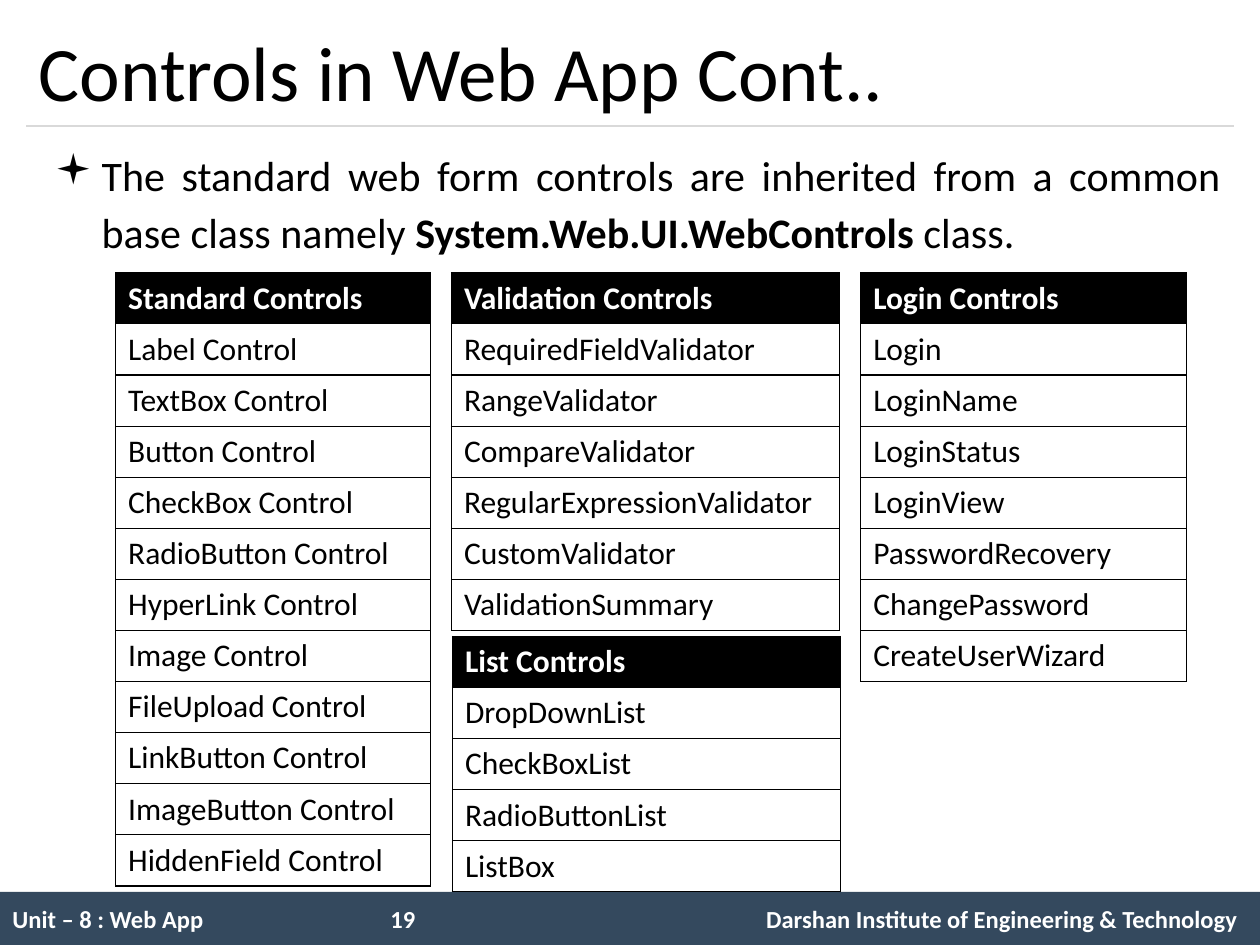
from lxml import etree
from pptx import Presentation
from pptx.dml.color import RGBColor
from pptx.enum.shapes import MSO_CONNECTOR, MSO_SHAPE
from pptx.enum.text import MSO_ANCHOR, PP_ALIGN
from pptx.oxml.ns import qn
from pptx.util import Cm, Pt

BLACK = RGBColor(0x00, 0x00, 0x00)
WHITE = RGBColor(0xFF, 0xFF, 0xFF)
RULE_GRAY = RGBColor(0xD9, 0xD9, 0xD9)
FOOTER_BLUE = RGBColor(0x34, 0x49, 0x5E)

FONT = "Calibri"
ROW_HEIGHT = 1.03
TABLE_TOP = 5.5

STANDARD = [f"{name} Control" for name in (
    "Label", "TextBox", "Button", "CheckBox", "RadioButton", "HyperLink",
    "Image", "FileUpload", "LinkButton", "ImageButton", "HiddenField")]
VALIDATION = ["RequiredFieldValidator", "RangeValidator", "CompareValidator",
              "RegularExpressionValidator", "CustomValidator", "ValidationSummary"]
LOGIN = ["Login", "LoginName", "LoginStatus", "LoginView",
         "PasswordRecovery", "ChangePassword", "CreateUserWizard"]
LISTS = ["DropDownList", "CheckBoxList", "RadioButtonList", "ListBox"]

# heading, items, left, top, width
CONTROL_TABLES = [
    ("Standard Controls", STANDARD, 2.33, TABLE_TOP, 6.35),
    ("Validation Controls", VALIDATION, 9.1, TABLE_TOP, 7.82),
    ("Login Controls", LOGIN, 17.35, TABLE_TOP, 6.56),
    ("List Controls", LISTS, 9.12, 12.83, 7.82),
]


def add_run(paragraph, text, size=18, color=BLACK, bold=False):
    run = paragraph.add_run()
    run.text = text
    run.font.name = FONT
    run.font.size = Pt(size)
    run.font.bold = bold
    run.font.color.rgb = color


def set_tabs(paragraph, stops):
    """Add tab stops given as (position in cm, alignment code) pairs."""
    tabs = etree.SubElement(paragraph._p.get_or_add_pPr(), qn("a:tabLst"))
    for position, alignment in stops:
        etree.SubElement(tabs, qn("a:tab"), pos=str(Cm(position)), algn=alignment)


def set_bullet(paragraph, symbol, left, hanging):
    properties = paragraph._p.get_or_add_pPr()
    properties.set("marL", str(Cm(left)))
    properties.set("indent", str(-Cm(hanging)))
    etree.SubElement(properties, qn("a:buFont"), typeface="Wingdings")
    etree.SubElement(properties, qn("a:buChar"), char=symbol)


def set_borders(cell, color, width):
    """Draw all four cell borders; must run before the cell fill is set."""
    properties = cell._tc.get_or_add_tcPr()
    for side in ("lnL", "lnR", "lnT", "lnB"):
        line = etree.SubElement(properties, qn(f"a:{side}"), w=str(Pt(width)))
        fill = etree.SubElement(line, qn("a:solidFill"))
        etree.SubElement(fill, qn("a:srgbClr"), val=str(color))


class SlideBuilder:
    def __init__(self, slide):
        self.shapes = slide.shapes

    def footer(self, unit, number, institute):
        bar = self.shapes.add_shape(
            MSO_SHAPE.RECTANGLE, Cm(0), Cm(17.98), Cm(25.4), Cm(1.07))
        bar.shadow.inherit = False
        bar.fill.solid()
        bar.fill.fore_color.rgb = FOOTER_BLUE
        bar.line.fill.background()
        bar.text_frame.vertical_anchor = MSO_ANCHOR.MIDDLE
        paragraph = bar.text_frame.paragraphs[0]
        paragraph.alignment = PP_ALIGN.LEFT
        set_tabs(paragraph, [(7.62, "l"), (24.7, "r")])
        add_run(paragraph, "\t".join((unit, number, institute)),
                size=14, color=WHITE, bold=True)

    def rule(self, left, right, y):
        line = self.shapes.add_connector(
            MSO_CONNECTOR.STRAIGHT, Cm(left), Cm(y), Cm(right), Cm(y))
        line.line.color.rgb = RULE_GRAY
        line.line.width = Pt(0.75)
        etree.SubElement(line._element.spPr, qn("a:effectLst"))

    def text_box(self, left, top, width, height, anchor=MSO_ANCHOR.TOP):
        """Add an empty wrapping box and return its first paragraph."""
        frame = self.shapes.add_textbox(
            Cm(left), Cm(top), Cm(width), Cm(height)).text_frame
        frame.word_wrap = True
        frame.vertical_anchor = anchor
        return frame.paragraphs[0]

    def title(self, text):
        paragraph = self.text_box(0.53, 0.3, 24.33, 2.24, MSO_ANCHOR.MIDDLE)
        add_run(paragraph, text, size=44)

    def bullet(self, parts):
        """Add a justified bullet from (text, bold) parts."""
        paragraph = self.text_box(0.53, 2.74, 24.33, 2.74)
        set_bullet(paragraph, "▪", left=1.27, hanging=0.95)
        paragraph.alignment = PP_ALIGN.JUSTIFY
        paragraph.line_spacing = 1.14
        for text, bold in parts:
            add_run(paragraph, text, size=24, bold=bold)

    def control_table(self, heading, items, left, top, width):
        entries = [heading, *items]
        table = self.shapes.add_table(
            len(entries), 1, Cm(left), Cm(top), Cm(width),
            Cm(ROW_HEIGHT * len(entries))).table
        table.horz_banding = False
        for index, entry in enumerate(entries):
            is_heading = index == 0
            table.rows[index].height = Cm(ROW_HEIGHT)
            cell = table.cell(index, 0)
            set_borders(cell, BLACK, 0.75)
            if is_heading:
                cell.fill.solid()
                cell.fill.fore_color.rgb = BLACK
            else:
                cell.fill.background()
            add_run(cell.text_frame.paragraphs[0], entry,
                    color=WHITE if is_heading else BLACK, bold=is_heading)


def main():
    presentation = Presentation()
    presentation.slide_width = Cm(25.4)
    presentation.slide_height = Cm(19.05)
    builder = SlideBuilder(presentation.slides.add_slide(presentation.slide_layouts[6]))

    builder.footer("Unit – 8 : Web App", "19",
                   "Darshan Institute of Engineering & Technology")
    builder.rule(0.53, 24.87, 2.54)
    builder.title("Controls in Web App Cont..")
    builder.bullet([
        ("The standard web form controls are inherited from a common "
         "base class namely ", False),
        ("System.Web.UI.WebControls", True),
        (" class.", False),
    ])
    for control_table in CONTROL_TABLES:
        builder.control_table(*control_table)

    presentation.save("out.pptx")


if __name__ == "__main__":
    main()
